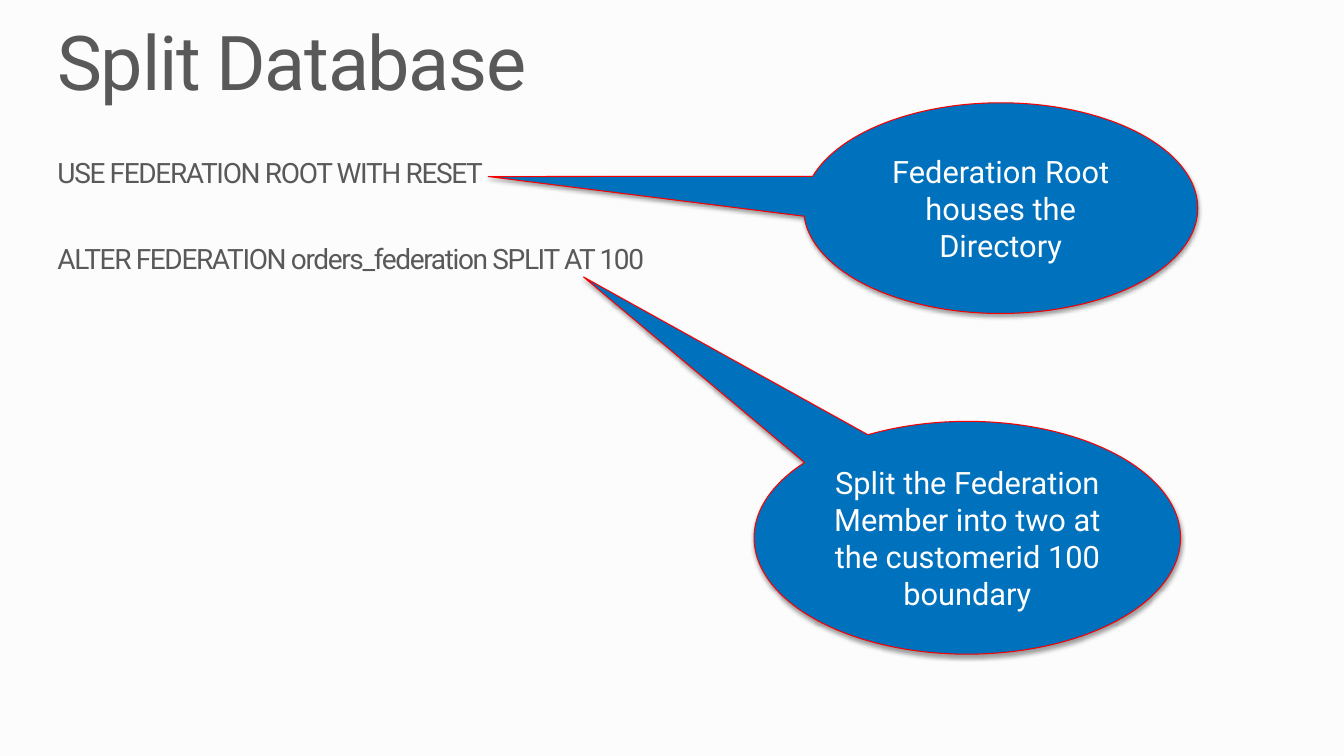
from lxml import etree
from pptx import Presentation
from pptx.dml.color import RGBColor
from pptx.enum.shapes import MSO_SHAPE
from pptx.enum.text import MSO_ANCHOR, PP_ALIGN
from pptx.oxml.ns import qn
from pptx.util import Inches, Pt

CALLOUT = MSO_SHAPE.OVAL_CALLOUT
TOP, MIDDLE = MSO_ANCHOR.TOP, MSO_ANCHOR.MIDDLE
LEFT, CENTER = PP_ALIGN.LEFT, PP_ALIGN.CENTER

TITLE = "Split Database"
STATEMENTS = [
    "USE FEDERATION ROOT WITH RESET",
    "ALTER FEDERATION orders_federation SPLIT AT 100",
]
CALLOUTS = [
    {"text": "Federation Root houses the Directory",
     "box": (7.97, 1.02, 3.91, 2.09), "tip": (-1.3, -0.15)},
    {"text": "Split the Federation Member into two at the customerid 100 boundary",
     "box": (7.48, 4.18, 4.23, 2.31), "tip": (-0.9, -1.12)},
]
TITLE_BOX = (0.57, 0.25, 12.19, 0.82)
STATEMENTS_BOX = (0.57, 1.58, 12.19, 1.99)


class Theme:
    font = "Roboto"
    background = RGBColor(0xFC, 0xFC, 0xFC)
    text = RGBColor(0x59, 0x59, 0x59)
    callout_text = RGBColor(0xFF, 0xFF, 0xFF)
    callout_fill = RGBColor(0x00, 0x71, 0xBC)
    callout_line = RGBColor(0xF9, 0x00, 0x00)
    shadow = "000000"
    title_size = 54
    statement_size = 20
    callout_size = 22
    statement_gap = 40


def place(s, box):
    s.left, s.top, s.width, s.height = map(Inches, box)


def setup_frame(tf, anchor, inset_x=0, inset_y=0):
    tf.word_wrap = True
    tf.vertical_anchor = anchor
    tf.margin_left = tf.margin_right = Inches(inset_x)
    tf.margin_top = tf.margin_bottom = Inches(inset_y)


def write(p, text, size, color, align=LEFT, tight=False):
    p.alignment = align
    r = p.add_run()
    r.text = text
    r.font.name = Theme.font
    r.font.size = Pt(size)
    r.font.color.rgb = color
    if tight:
        p.line_spacing = 0.9
        r.font._element.set("spc", "-100")


def add_shadow(sp):
    sp.shadow.inherit = False
    effects = sp._element.spPr.find(qn("a:effectLst"))
    shadow = etree.SubElement(
        effects, qn("a:outerShdw"), blurRad=str(Pt(3.1)), dist=str(Pt(1.6)),
        dir="5400000", rotWithShape="0")
    color = etree.SubElement(shadow, qn("a:srgbClr"), val=Theme.shadow)
    etree.SubElement(color, qn("a:alpha"), val="38000")


def add_callout(s, text, box, tip):
    sp = s.shapes.add_shape(CALLOUT, *map(Inches, box))
    sp.adjustments[0], sp.adjustments[1] = tip
    sp.fill.solid()
    sp.fill.fore_color.rgb = Theme.callout_fill
    sp.line.color.rgb = Theme.callout_line
    sp.line.width = Pt(0.75)
    add_shadow(sp)
    setup_frame(sp.text_frame, MIDDLE, 0.1, 0.05)
    write(sp.text_frame.paragraphs[0], text, Theme.callout_size,
          Theme.callout_text, CENTER)


def main():
    prs = Presentation()
    prs.slide_width, prs.slide_height = Inches(13.33), Inches(7.5)
    s = prs.slides.add_slide(prs.slide_layouts[5])
    s.background.fill.solid()
    s.background.fill.fore_color.rgb = Theme.background

    title = s.shapes.title
    place(title, TITLE_BOX)
    setup_frame(title.text_frame, TOP)
    write(title.text_frame.paragraphs[0], TITLE, Theme.title_size,
          Theme.text, tight=True)

    tf = s.shapes.add_textbox(*map(Inches, STATEMENTS_BOX)).text_frame
    setup_frame(tf, TOP)
    for i, statement in enumerate(STATEMENTS):
        p = tf.add_paragraph() if i else tf.paragraphs[0]
        p.space_after = Pt(Theme.statement_gap)
        write(p, statement, Theme.statement_size, Theme.text, tight=True)

    for callout in CALLOUTS:
        add_callout(s, **callout)

    prs.save("out.pptx")


if __name__ == "__main__":
    main()
